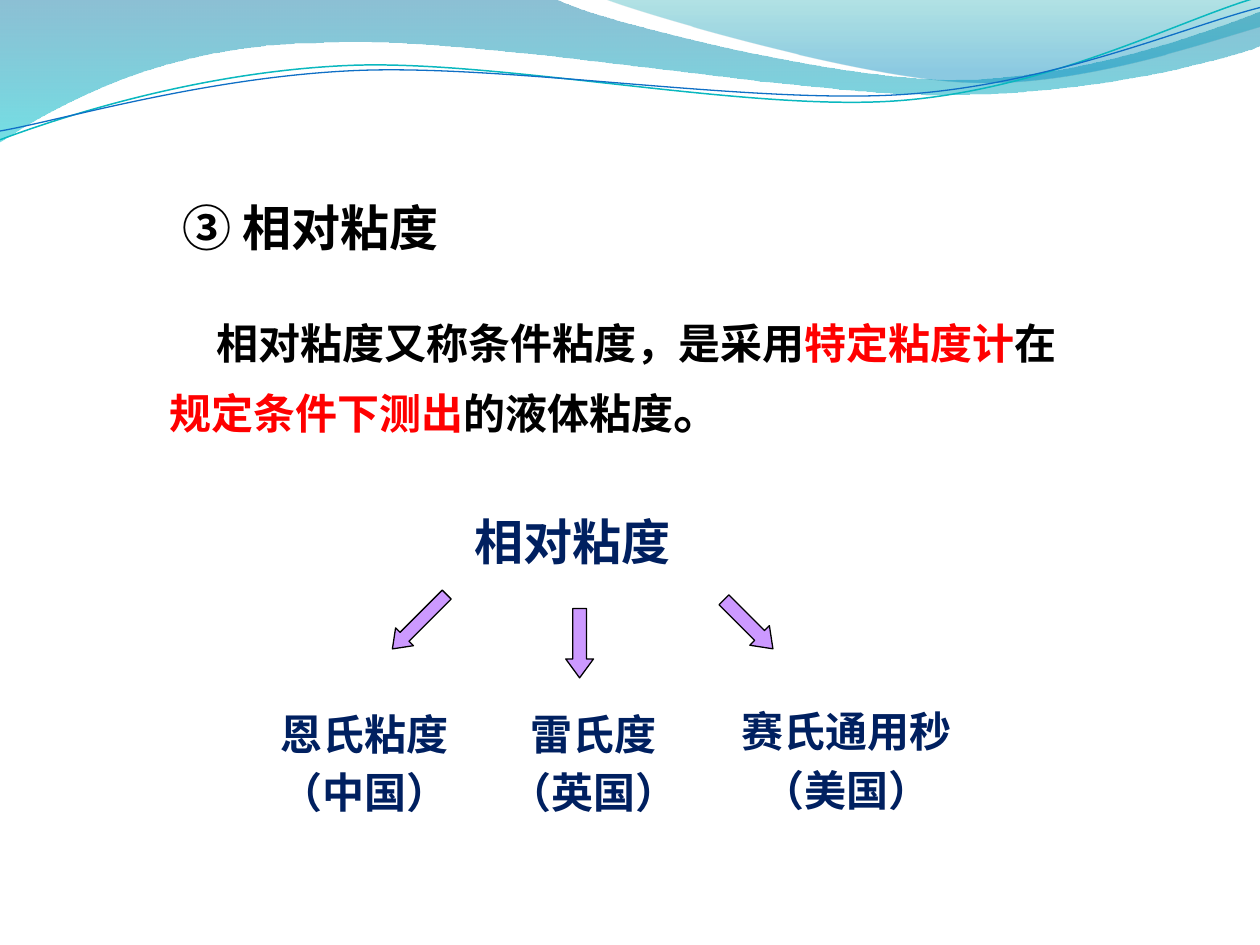
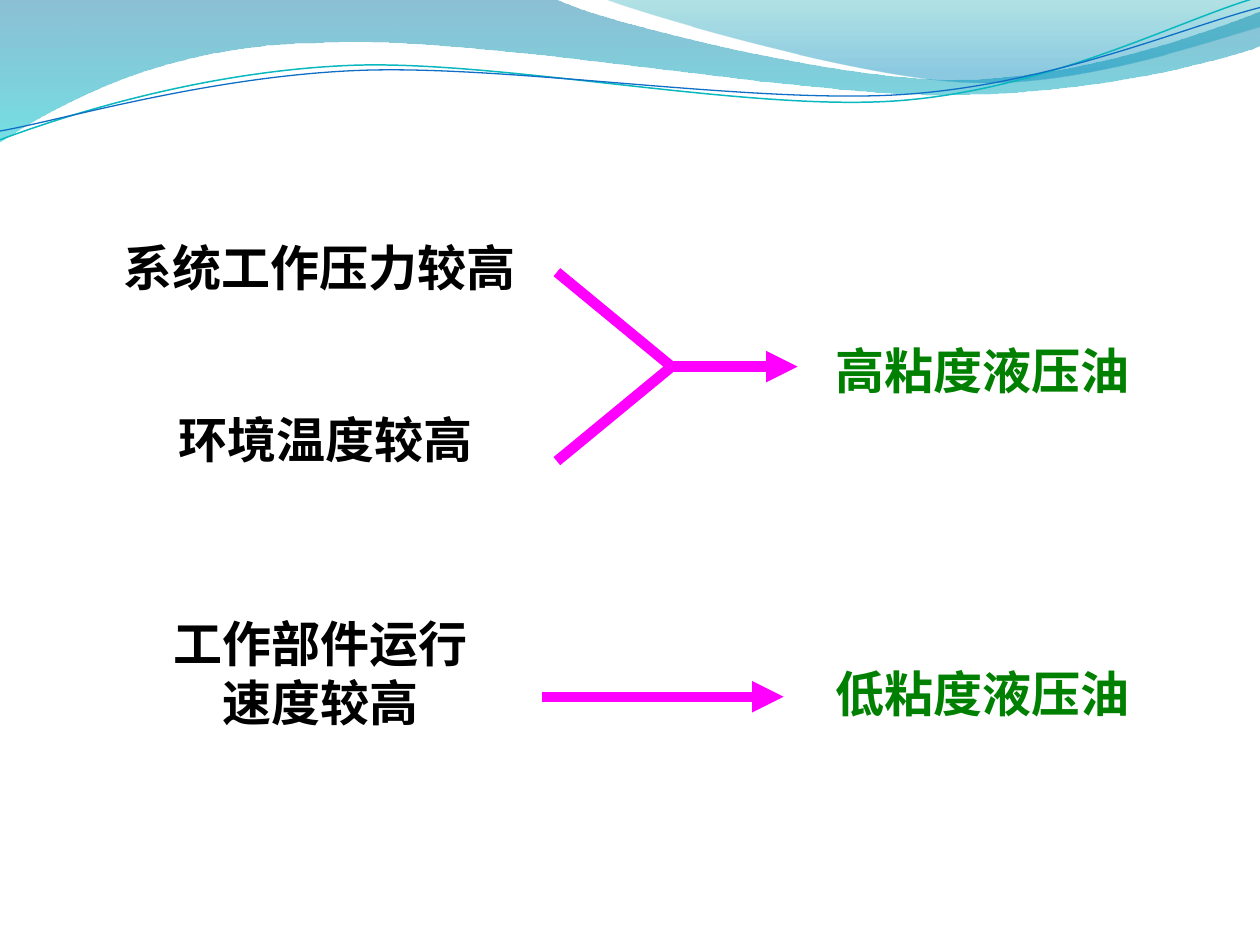
import pptx
import pptx.dml.color
import pptx.enum.shapes
import pptx.enum.text
import pptx.oxml
import pptx.oxml.ns
import pptx.util

RGBColor = pptx.dml.color.RGBColor
ALIGN = pptx.enum.text.PP_ALIGN
SHAPE = pptx.enum.shapes.MSO_SHAPE

BLACK = RGBColor(0x00, 0x00, 0x00)
RED = RGBColor(0xFF, 0x00, 0x00)
NAVY = RGBColor(0x00, 0x20, 0x60)
GREEN = RGBColor(0x00, 0x80, 0x00)
MAGENTA = RGBColor(0xFF, 0x00, 0xFF)
LILAC = RGBColor(0xCC, 0x99, 0xFF)
WAVE_BLUE = RGBColor(0x00, 0x74, 0xA1)
WAVE_CYAN = RGBColor(0x00, 0xC6, 0xCF)
WAVE_TEAL = RGBColor(0x00, 0xA1, 0xA9)
WAVE_SKY = RGBColor(0x00, 0x8B, 0xBF)
LINE_TEAL = RGBColor(0x0A, 0xB8, 0xBF)
LINE_BLUE = RGBColor(0x0F, 0x6F, 0xC6)

FONT = "Noto Sans CJK SC"
LARGE, MEDIUM = 28, 24
TITLE_ONLY, BLANK = 5, 6

# The slide is a grid of 10 columns and 7.5 rows of square cells
SLIDE_WIDTH = pptx.util.Inches(10)
SLIDE_HEIGHT = pptx.util.Inches(7.5)
CELL = SLIDE_WIDTH // 10


def cells(*counts):
    return [pptx.util.Emu(round(count * CELL)) for count in counts]


def new_element(tag, **attributes):
    element = pptx.oxml.parse_xml(f"<a:{tag} {pptx.oxml.ns.nsdecls('a')}/>")
    for name, value in attributes.items():
        element.set(name, value)
    return element


# Text
def write_text(shape, paragraphs, size, color, align=ALIGN.LEFT,
               leading=1.2, gap=0, inset=0.1, indent=0):
    """Each paragraph is a list of runs: (text, own color, own size)."""
    frame = shape.text_frame
    frame.word_wrap = True
    frame.auto_size = pptx.enum.text.MSO_AUTO_SIZE.NONE
    frame.vertical_anchor = pptx.enum.text.MSO_ANCHOR.TOP
    frame.margin_left, frame.margin_top = cells(inset, 0.05)
    for number, runs in enumerate(paragraphs):
        paragraph = frame.add_paragraph() if number else frame.paragraphs[0]
        paragraph.alignment = align
        paragraph.line_spacing = pptx.util.Pt(size * leading)
        paragraph.space_before = pptx.util.Pt(gap if number else 0)
        for text, run_color, run_size in runs:
            run = paragraph.add_run()
            run.text = text
            run.font.name = FONT
            run.font.bold = True
            run.font.size = pptx.util.Pt(run_size or size)
            run.font.color.rgb = run_color or color
    for properties in shape.element.xpath(".//a:r/a:rPr"):
        properties.append(new_element("ea", typeface=FONT))
    if indent:
        for properties in shape.element.xpath(".//a:pPr"):
            properties.set("indent", str(cells(indent)[0]))


def plain(*lines):
    return [[(line, None, None)] for line in lines]


def add_text(slide, place, paragraphs, size, color, **style):
    shape = slide.shapes.add_textbox(*cells(*place))
    write_text(shape, paragraphs, size, color, **style)


def set_title(slide, place, text):
    title = slide.shapes.title
    title.left, title.top, title.width, title.height = cells(*place)
    write_text(title, plain(text), LARGE, BLACK, inset=0.2)


# Arrows and lines
def add_block_arrow(slide, place, rotation):
    arrow = slide.shapes.add_shape(SHAPE.DOWN_ARROW, *cells(*place))
    arrow.shadow.inherit = False
    arrow.rotation = rotation
    arrow.adjustments[0], arrow.adjustments[1] = 0.5, 0.68
    arrow.fill.solid()
    arrow.fill.fore_color.rgb = LILAC
    arrow.line.color.rgb = BLACK
    arrow.line.width = pptx.util.Pt(0.75)


def add_line(slide, start, end, arrowhead=False):
    line = slide.shapes.add_connector(
        pptx.enum.shapes.MSO_CONNECTOR.STRAIGHT, *cells(*start, *end))
    line.line.color.rgb = MAGENTA
    line.line.width = pptx.util.Pt(6)
    if arrowhead:
        outline = line.element.xpath(".//a:ln")[0]
        outline.append(new_element("tailEnd", type="triangle"))
    line.element.spPr.append(new_element("effectLst"))


# Wave header
def curves(*points):
    """Group points by three: two controls and an end for each curve."""
    return [points[first:first + 3] for first in range(0, len(points), 3)]


def add_outline(slide, start, segments, close):
    """A segment is one point for a line, or three points for a cubic curve."""
    builder = slide.shapes.build_freeform(*cells(*start), scale=1.0)
    points = [cells(*point) for segment in segments for point in segment]
    builder.add_line_segments(points, close=close)
    shape = builder.convert_to_shape()
    shape.shadow.inherit = False
    steps = iter(shape.element.xpath(".//a:lnTo"))
    for segment in segments:
        group = [next(steps) for _ in segment]
        if len(group) == 3:
            curve = new_element("cubicBezTo")
            group[0].addprevious(curve)
            for step in group:
                curve.append(step[0])
                step.getparent().remove(step)
    return shape


def add_wave_band(slide, start, segments, stops):
    band = add_outline(slide, start, segments, True)
    band.line.fill.background()
    band.fill.gradient()
    band.fill.gradient_angle = 270
    for stop, (position, color, _) in zip(band.fill.gradient_stops, stops):
        stop.position = position
        stop.color.rgb = color
    colors = band.element.xpath(".//a:gs/a:srgbClr")
    for element, (_, _, opacity) in zip(colors, stops):
        element.append(new_element("alpha", val=str(opacity * 1000)))
    return band


def add_wave_line(slide, start, segments, color, width):
    line = add_outline(slide, start, segments, False)
    line.fill.background()
    line.line.color.rgb = color
    line.line.width = pptx.util.Pt(width)
    return line


def add_waves_to_master(presentation, slide):
    """Draw the waves on a slide, then move them to the back of the master."""
    upper_edge = curves((4.76, 0.17), (6.64, 0.63), (7.58, 0.63),
                        (8.53, 0.63), (9.58, 0.26), (10, 0.09))
    lower_edge = curves((9.83, 0.44), (8.7, 0.76), (7.46, 0.75),
                        (6.22, 0.75), (3.82, 0.28), (2.57, 0.34),
                        (1.29, 0.35), (0.46, 0.83), (-0.01, 1.13))
    right_edge = curves((5.09, 0.11), (6.82, 0.62), (7.69, 0.65),
                        (8.56, 0.69), (9.61, 0.32), (10, 0.21))
    teal_curves = curves((0.48, 0.93), (1.58, 0.57), (2.77, 0.52),
                         (3.95, 0.47), (5.93, 0.89), (7.13, 0.8),
                         (8.33, 0.71), (9.38, 0.15), (9.98, -0.02))
    blue_curves = curves((0.47, 0.96), (1.64, 0.61), (2.83, 0.56),
                         (4.03, 0.51), (5.97, 0.83), (7.17, 0.75),
                         (8.36, 0.67), (9.41, 0.21), (10, 0.06))
    left_band = [[(4.4, -0.01)], *upper_edge, [(10.01, 0.36)], *lower_edge]
    waves = [
        add_wave_band(slide, (0, -0.01), left_band,
                      [(0, WAVE_BLUE, 45), (1, WAVE_CYAN, 55)]),
        add_wave_band(slide, (4.79, -0.01), [*right_edge, [(10, 0)]],
                      [(0, WAVE_TEAL, 30), (0.8, WAVE_SKY, 45)]),
        add_wave_line(slide, (0, 1.11), teal_curves, LINE_TEAL, 0.85),
        add_wave_line(slide, (0, 1.04), blue_curves, LINE_BLUE, 0.75),
    ]
    tree = presentation.slide_master.element.xpath("./p:cSld/p:spTree")[0]
    for number, wave in enumerate(waves):
        wave.element.xpath(".//p:cNvPr")[0].set("id", str(101 + number))
        tree.insert(2 + number, wave.element)


# Slides
def build_relative_viscosity(slide):
    set_title(slide, (1.25, 1.52, 3.92, 0.64), "③ 相对粘度")
    definition = [("相对粘度又称条件粘度，是采用", None, None),
                  ("特定粘度计", RED, None), ("在", None, None),
                  ("规定条件下测出", RED, None), ("的液体粘度", None, None),
                  ("。", None, LARGE)]
    add_text(slide, (1.25, 2.3, 7.53, 1.31), [definition], MEDIUM, BLACK,
             leading=1.71, indent=0.37)

    # Tree of the three national units
    add_text(slide, (3.67, 4.01, 2.08, 0.67), plain("相对粘度"), LARGE, NAVY)
    add_block_arrow(slide, (3.23, 4.63, 0.2, 0.61), 45)
    add_block_arrow(slide, (5.83, 4.68, 0.22, 0.55), 315)
    add_block_arrow(slide, (4.49, 4.83, 0.22, 0.55), 0)
    units = [("恩氏粘度", "（中国）", 1.85, 5.57, 2.08),
             ("雷氏度", "（英国）", 3.67, 5.57, 2.08),
             ("赛氏通用秒", "（美国）", 5.38, 5.55, 2.67)]
    for unit, country, left, top, width in units:
        add_text(slide, (left, top, width, 1.25), plain(unit, country),
                 MEDIUM, NAVY, align=ALIGN.CENTER, gap=4.8)


def build_oil_choice(slide):
    # Working conditions and the oil they call for
    statements = [
        ((0.41, 1.84, 4.25, 0.57), ["系统工作压力较高"], BLACK),
        ((0.75, 3.2, 3.67, 0.57), ["环境温度较高"], BLACK),
        ((0.71, 4.82, 3.67, 1.04), ["工作部件运行", "速度较高"], BLACK),
        ((5.67, 2.65, 4.25, 0.57), ["高粘度液压油"], GREEN),
        ((5.67, 5.22, 4.25, 0.57), ["低粘度液压油"], GREEN),
    ]
    for place, lines, color in statements:
        add_text(slide, place, plain(*lines), LARGE, color, align=ALIGN.CENTER)

    # Two conditions merge into one arrow; the third has its own
    junction = (5.33, 2.91)
    add_line(slide, (4.42, 2.16), junction)
    add_line(slide, junction, (4.42, 3.66))
    add_line(slide, junction, (6.33, 2.91), arrowhead=True)
    add_line(slide, (4.3, 5.53), (6.22, 5.53), arrowhead=True)


def main():
    presentation = pptx.Presentation()
    presentation.slide_width = SLIDE_WIDTH
    presentation.slide_height = SLIDE_HEIGHT
    layouts = presentation.slide_layouts
    viscosity_slide = presentation.slides.add_slide(layouts[TITLE_ONLY])
    add_waves_to_master(presentation, viscosity_slide)
    build_relative_viscosity(viscosity_slide)
    build_oil_choice(presentation.slides.add_slide(layouts[BLANK]))
    presentation.save("out.pptx")


if __name__ == "__main__":
    main()
